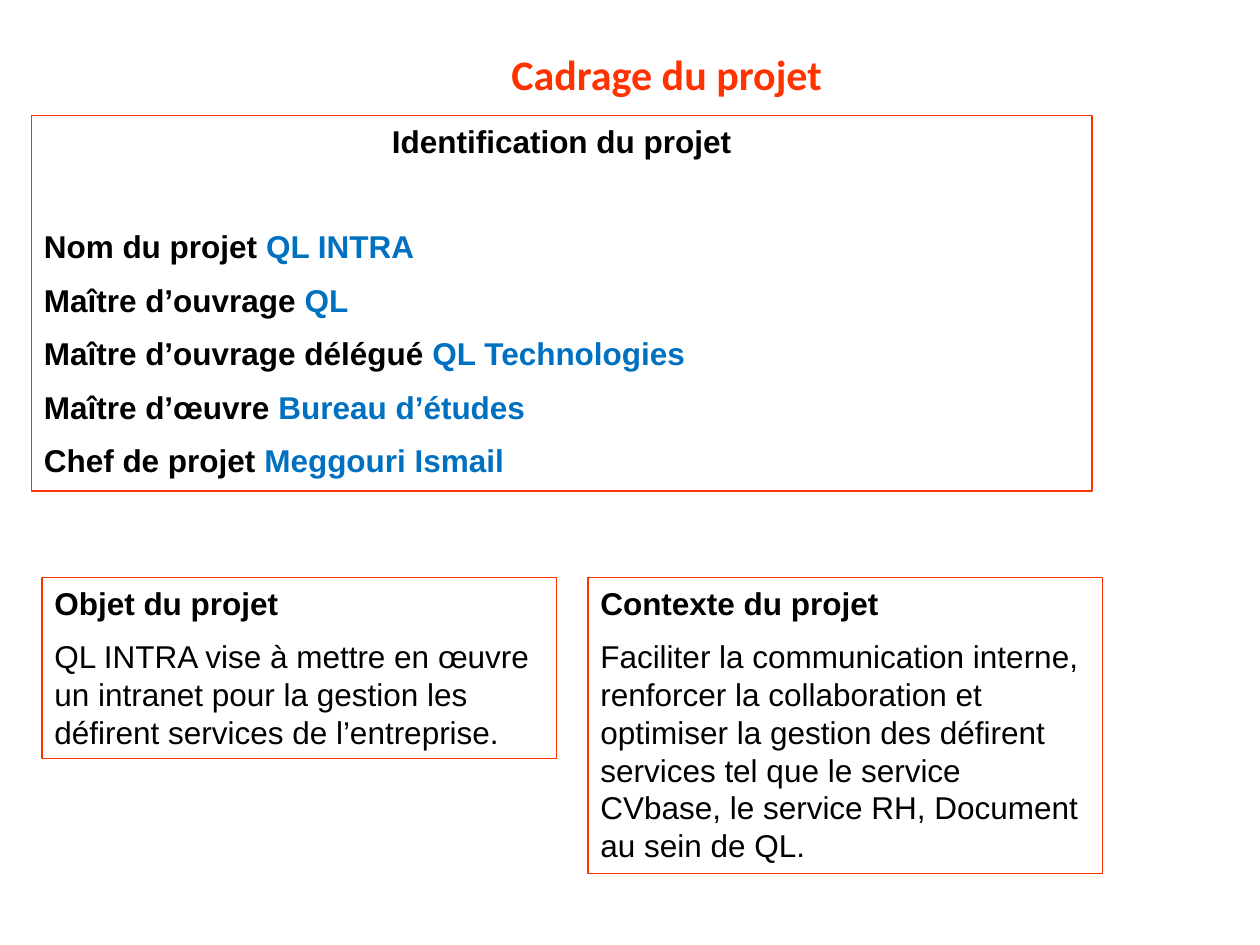
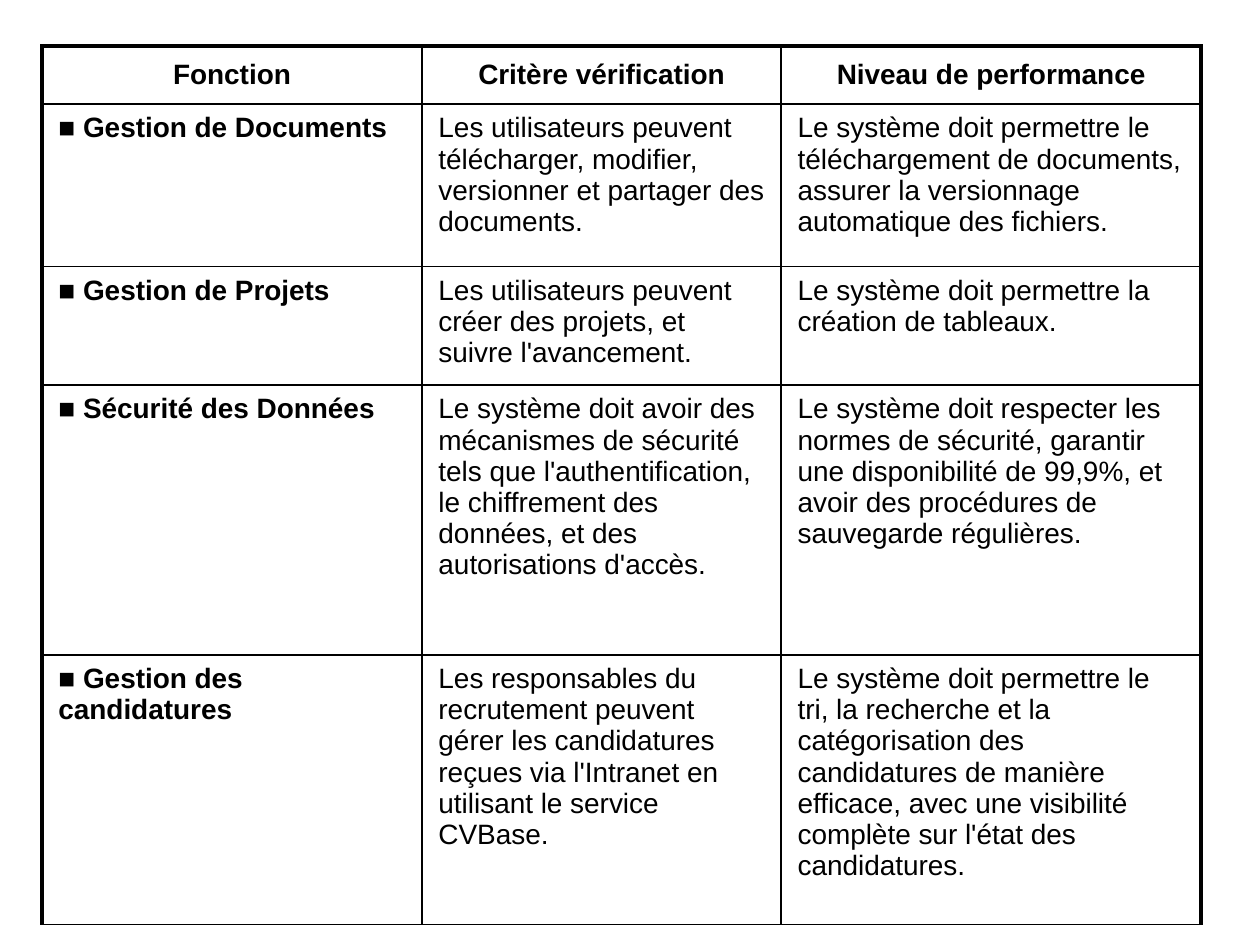
from collections import namedtuple

from lxml.etree import SubElement
from pptx import Presentation
from pptx.dml.color import RGBColor
from pptx.enum.shapes import MSO_SHAPE
from pptx.enum.text import MSO_ANCHOR, MSO_AUTO_SIZE, PP_ALIGN
from pptx.oxml.ns import qn
from pptx.util import Inches, Pt

COLUMNS, ROWS = 120, 90
BLACK, BLUE, ORANGE = "000000", "0070C0", "FF3300"
TITLE_ONLY, BLANK = 5, 6
THIN, THICK = Pt(1), Pt(2.25)

Box = namedtuple("Box", "left top width height")
Span = namedtuple("Span", "text bold color", defaults=(False, BLACK))

IDENTIFICATION = [
    ("Nom du projet", "QL INTRA"),
    ("Maître d’ouvrage", "QL"),
    ("Maître d’ouvrage délégué", "QL Technologies"),
    ("Maître d’œuvre", "Bureau d’études"),
    ("Chef de projet", "Meggouri Ismail"),
]
SUMMARIES = [
    ("Objet du projet",
     "QL INTRA vise à mettre en œuvre un intranet pour la gestion les "
     "défirent services de l’entreprise.", 17.25),
    ("Contexte du projet",
     "Faciliter la communication interne, renforcer la collaboration et "
     "optimiser la gestion des défirent services tel que le service CVbase, "
     "le service RH, Document au sein de QL.", 28.2),
]
HEADINGS = ["Fonction", "Critère vérification", "Niveau de performance"]
FUNCTIONS = [
    ("Gestion de Documents",
     "Les utilisateurs peuvent télécharger, modifier, versionner et partager "
     "des documents.",
     "Le système doit permettre le téléchargement de documents, assurer la "
     "versionnage automatique des fichiers."),
    ("Gestion de Projets",
     "Les utilisateurs peuvent créer des projets, et suivre l'avancement.",
     "Le système doit permettre la création de tableaux."),
    ("Sécurité des Données",
     "Le système doit avoir des mécanismes de sécurité tels que "
     "l'authentification, le chiffrement des données, et des autorisations "
     "d'accès.",
     "Le système doit respecter les normes de sécurité, garantir une "
     "disponibilité de 99,9%, et avoir des procédures de sauvegarde "
     "régulières."),
    ("Gestion des candidatures",
     "Les responsables du recrutement peuvent gérer les candidatures reçues "
     "via l'Intranet en utilisant le service CVBase.",
     "Le système doit permettre le tri, la recherche et la catégorisation des "
     "candidatures de manière efficace, avec une visibilité complète sur "
     "l'état des candidatures."),
]
TABLE_COLUMNS = [36.2, 34.2, 40]
TABLE_ROWS = [5.5, 15.5, 10.7, 25.7, 25.7]

deck = Presentation()
deck.slide_width, deck.slide_height = Inches(10), Inches(7.5)


def across(columns):
    return round(deck.slide_width * columns / COLUMNS)


def down(rows):
    return round(deck.slide_height * rows / ROWS)


def place(box):
    return across(box.left), down(box.top), across(box.width), down(box.height)


def rgb(color):
    return RGBColor.from_string(color)


def apply(target, values):
    for name, value in values.items():
        setattr(target, name, value)


def write(para, spans, size, font="Arial", align=PP_ALIGN.LEFT, before=0):
    apply(para, {"alignment": align, "space_before": Pt(before)})
    for span in spans:
        run = para.add_run()
        run.text = span.text
        apply(run.font, {"name": font, "size": Pt(size), "bold": span.bold})
        run.font.color.rgb = rgb(span.color)


def add_title(page, box, text):
    title = page.shapes.title
    title.left, title.top, title.width, title.height = place(box)
    apply(title.text_frame, {"vertical_anchor": MSO_ANCHOR.MIDDLE,
                             "auto_size": MSO_AUTO_SIZE.NONE})
    write(title.text_frame.paragraphs[0], [Span(text, True, ORANGE)], 24,
          "Calibri", PP_ALIGN.CENTER)


def add_panel(page, box, heading, align=PP_ALIGN.LEFT):
    """Draw an outlined panel with its heading and return its text frame."""
    panel = page.shapes.add_shape(MSO_SHAPE.RECTANGLE, *place(box))
    panel.shadow.inherit = False
    panel.fill.background()
    panel.line.color.rgb = rgb(ORANGE)
    panel.line.width = THIN
    frame = panel.text_frame
    apply(frame, {"word_wrap": True, "vertical_anchor": MSO_ANCHOR.TOP,
                  "auto_size": MSO_AUTO_SIZE.SHAPE_TO_FIT_TEXT})
    write(frame.paragraphs[0], [Span(heading, True)], 18, align=align)
    return frame


def add_identification(page, box):
    frame = add_panel(page, box, "Identification du projet", PP_ALIGN.CENTER)
    for index, (label, value) in enumerate(IDENTIFICATION):
        spans = [Span(label + " ", True), Span(value, True, BLUE)]
        write(frame.add_paragraph(), spans, 18, before=9 if index else 38.7)


def add_summaries(page, box, gap):
    width = (box.width - gap) / len(SUMMARIES)
    for index, (heading, text, height) in enumerate(SUMMARIES):
        left = box.left + index * (width + gap)
        frame = add_panel(page, Box(left, box.top, width, height), heading)
        write(frame.add_paragraph(), [Span(text)], 18, before=9)


def set_borders(cell, widths):
    properties = cell._tc.get_or_add_tcPr()
    for side, width in zip("LRTB", widths):
        line = SubElement(properties, qn(f"a:ln{side}"), w=str(width))
        fill = SubElement(line, qn("a:solidFill"))
        SubElement(fill, qn("a:srgbClr"), val=BLACK)


def cell_spans(row, column, text):
    if row and column == 0:
        return [Span("■ "), Span(text, True)]
    return [Span(text, row == 0)]


def add_function_table(page, box):
    records = [HEADINGS, *FUNCTIONS]
    last = len(HEADINGS) - 1
    table = page.shapes.add_table(len(records), len(HEADINGS),
                                  *place(box)).table
    apply(table, {"first_row": False, "horz_banding": False})
    for column, share in zip(table.columns, TABLE_COLUMNS):
        column.width = across(box.width * share / sum(TABLE_COLUMNS))
    for row, share in zip(table.rows, TABLE_ROWS):
        row.height = down(box.height * share / sum(TABLE_ROWS))
    for row, record in enumerate(records):
        heading = row == 0
        for column, text in enumerate(record):
            cell = table.cell(row, column)
            apply(cell, {
                "margin_left": Inches(0.13), "margin_right": Inches(0.13),
                "margin_top": Inches(0.07), "margin_bottom": Inches(0.07),
                "vertical_anchor":
                    MSO_ANCHOR.MIDDLE if heading else MSO_ANCHOR.TOP,
            })
            set_borders(cell, [THICK if column == 0 else THIN,
                               THICK if column == last else THIN,
                               THICK if heading else THIN, THIN])
            cell.fill.background()
            write(cell.text_frame.paragraphs[0],
                  cell_spans(row, column, text), 16,
                  align=PP_ALIGN.CENTER if heading else PP_ALIGN.LEFT)


def add_framing_slide():
    page = deck.slides.add_slide(deck.slide_layouts[TITLE_ONLY])
    add_title(page, Box(36.5, 3, 54, 8), "Cadrage du projet")
    add_identification(page, Box(3, 11, 101, 35.75))
    add_summaries(page, Box(4, 55, 101, 28.2), gap=3)


def add_functions_slide():
    page = deck.slides.add_slide(deck.slide_layouts[BLANK])
    add_function_table(page, Box(4, 4.4, sum(TABLE_COLUMNS), sum(TABLE_ROWS)))


def main():
    add_framing_slide()
    add_functions_slide()
    deck.save("out.pptx")


if __name__ == "__main__":
    main()
